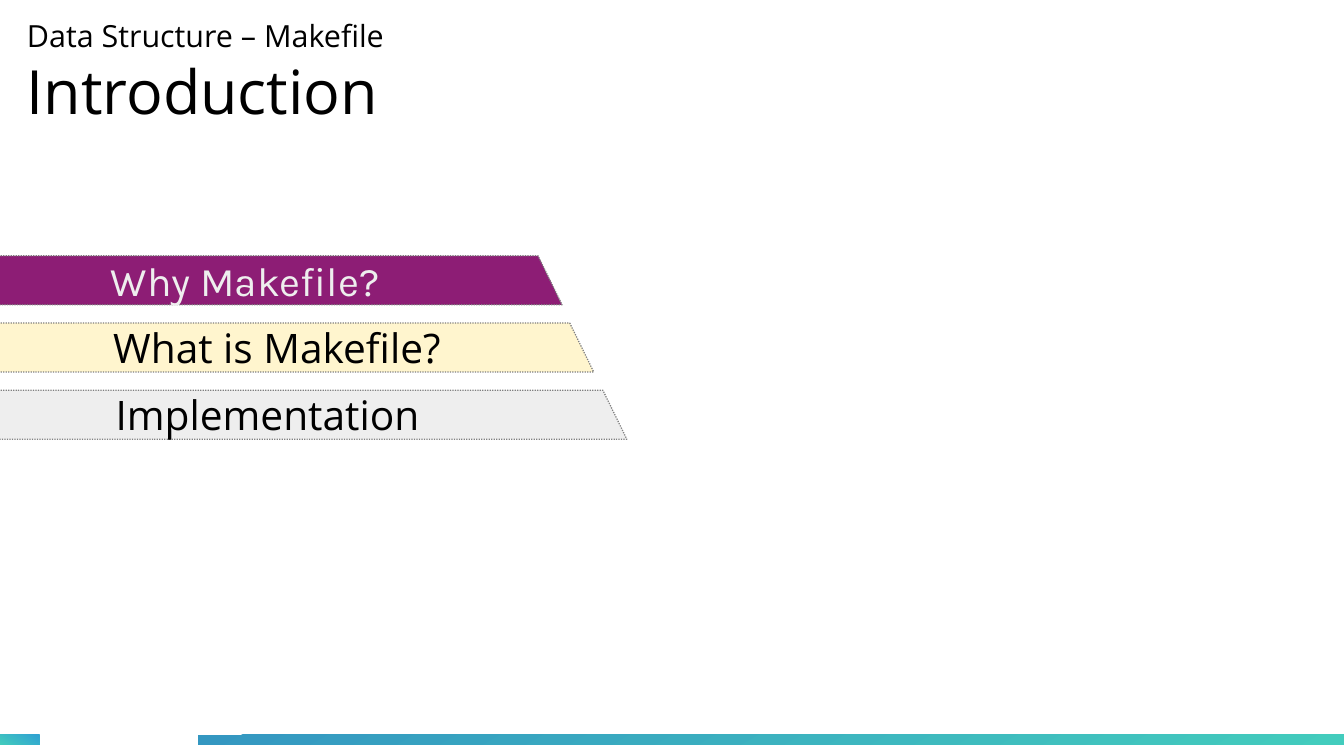
from dataclasses import dataclass

from pptx import Presentation
from pptx.dml.color import RGBColor
from pptx.enum.dml import MSO_LINE
from pptx.enum.shapes import MSO_SHAPE
from pptx.enum.text import MSO_ANCHOR, PP_ALIGN
from pptx.slide import Slide
from pptx.text.text import TextFrame
from pptx.util import Cm, Pt


@dataclass
class Topic:
    text: str
    left: float
    right: float
    fill: str
    font: str = "Open Sans"
    color: str = "000000"


@dataclass
class FooterBar:
    left: float
    width: float
    start: str
    end: str
    angle: float


TOPICS = [
    Topic("Why Makefile?", -0.66, 11.71, "8D1D75", "Karla", "EEEEEE"),
    Topic("What is Makefile?", -0.61, 12.37, "FFF5CE"),
    Topic("Implementation", -0.56, 13.06, "EEEEEE"),
]
FOOTER_BARS = [
    FooterBar(0, 0.82, "43CCBD", "30A2D2", 60),
    FooterBar(4.13, 23.88, "3497C1", "43CCBD", 300),
]
TOPIC_TOP, TOPIC_PITCH, TOPIC_HEIGHT = 5.33, 1.4, 1.02
SLANT = 0.5
TOPIC_INDENT = 2.97
FOOTER_TOP, FOOTER_HEIGHT = 15.31, 0.21


def rgb(value: str) -> RGBColor:
    return RGBColor.from_string(value)


def write(frame: TextFrame, text: str, *, size: float, font: str = "Open Sans",
          color: str = "000000", new_paragraph: bool = False) -> None:
    paragraph = frame.add_paragraph() if new_paragraph else frame.paragraphs[0]
    paragraph.alignment = PP_ALIGN.LEFT
    paragraph.line_spacing = 1.0
    paragraph.space_before = Pt(0)
    run = paragraph.add_run()
    run.text = text
    run.font.size = Pt(size)
    run.font.name = font
    run.font.color.rgb = rgb(color)


def draw_heading(slide: Slide) -> None:
    heading = slide.shapes.title
    heading.left, heading.top = Cm(0.56), Cm(0.2)
    heading.width, heading.height = Cm(19.5), Cm(2.6)
    frame = heading.text_frame
    frame.margin_left = frame.margin_right = 0
    frame.margin_top = frame.margin_bottom = 0
    frame.vertical_anchor = MSO_ANCHOR.MIDDLE
    frame.word_wrap = True
    write(frame, "Data Structure – Makefile", size=18)
    write(frame, "Introduction", size=36, new_paragraph=True)


def draw_footer_bar(slide: Slide, bar: FooterBar) -> None:
    strip = slide.shapes.add_shape(MSO_SHAPE.RECTANGLE, Cm(bar.left), Cm(FOOTER_TOP),
                                   Cm(bar.width), Cm(FOOTER_HEIGHT))
    strip.shadow.inherit = False
    strip.line.fill.background()
    strip.fill.gradient()
    strip.fill.gradient_angle = bar.angle
    for stop, color, position in zip(strip.fill.gradient_stops, (bar.start, bar.end), (0, 1)):
        stop.color.rgb = rgb(color)
        stop.position = position


def draw_topic(slide: Slide, topic: Topic, top: float) -> None:
    bottom = top + TOPIC_HEIGHT
    outline = slide.shapes.build_freeform(Cm(topic.left), Cm(top))
    outline.add_line_segments([
        (Cm(topic.right - SLANT), Cm(top)),
        (Cm(topic.right), Cm(bottom)),
        (Cm(topic.left + SLANT), Cm(bottom)),
    ], close=True)
    banner = outline.convert_to_shape()
    banner.shadow.inherit = False
    banner.fill.solid()
    banner.fill.fore_color.rgb = rgb(topic.fill)
    banner.line.color.rgb = rgb("808080")
    banner.line.width = Pt(0)
    banner.line.dash_style = MSO_LINE.ROUND_DOT
    frame = banner.text_frame
    frame.word_wrap = True
    frame.vertical_anchor = MSO_ANCHOR.MIDDLE
    frame.margin_left = Cm(TOPIC_INDENT)
    write(frame, topic.text, size=24, font=topic.font, color=topic.color)


def main() -> None:
    presentation = Presentation()
    presentation.slide_width, presentation.slide_height = Cm(28), Cm(15.75)
    slide = presentation.slides.add_slide(presentation.slide_layouts[5])
    for bar in FOOTER_BARS:
        draw_footer_bar(slide, bar)
    draw_heading(slide)
    for row, topic in enumerate(TOPICS):
        draw_topic(slide, topic, TOPIC_TOP + row * TOPIC_PITCH)
    presentation.save("out.pptx")


if __name__ == "__main__":
    main()
